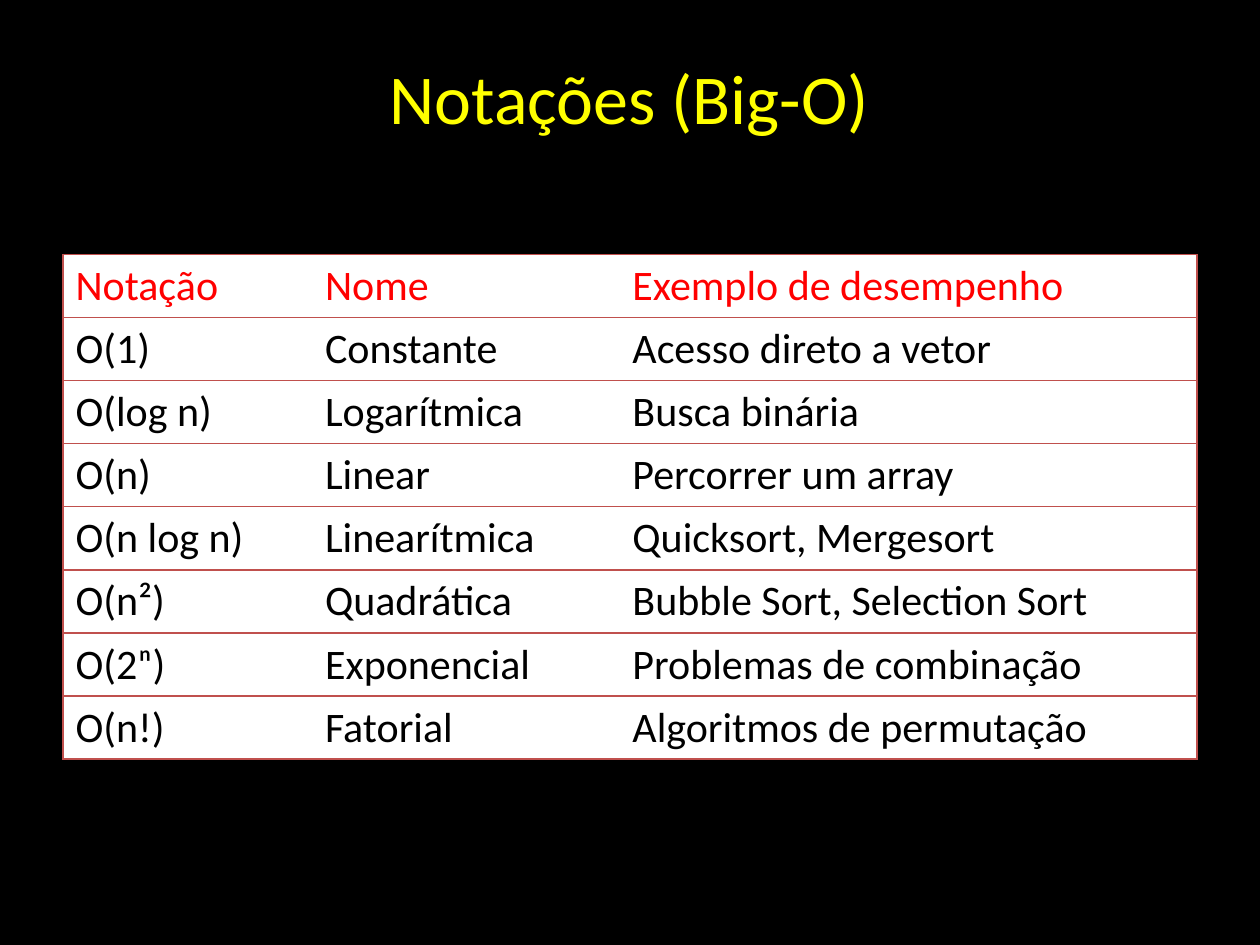
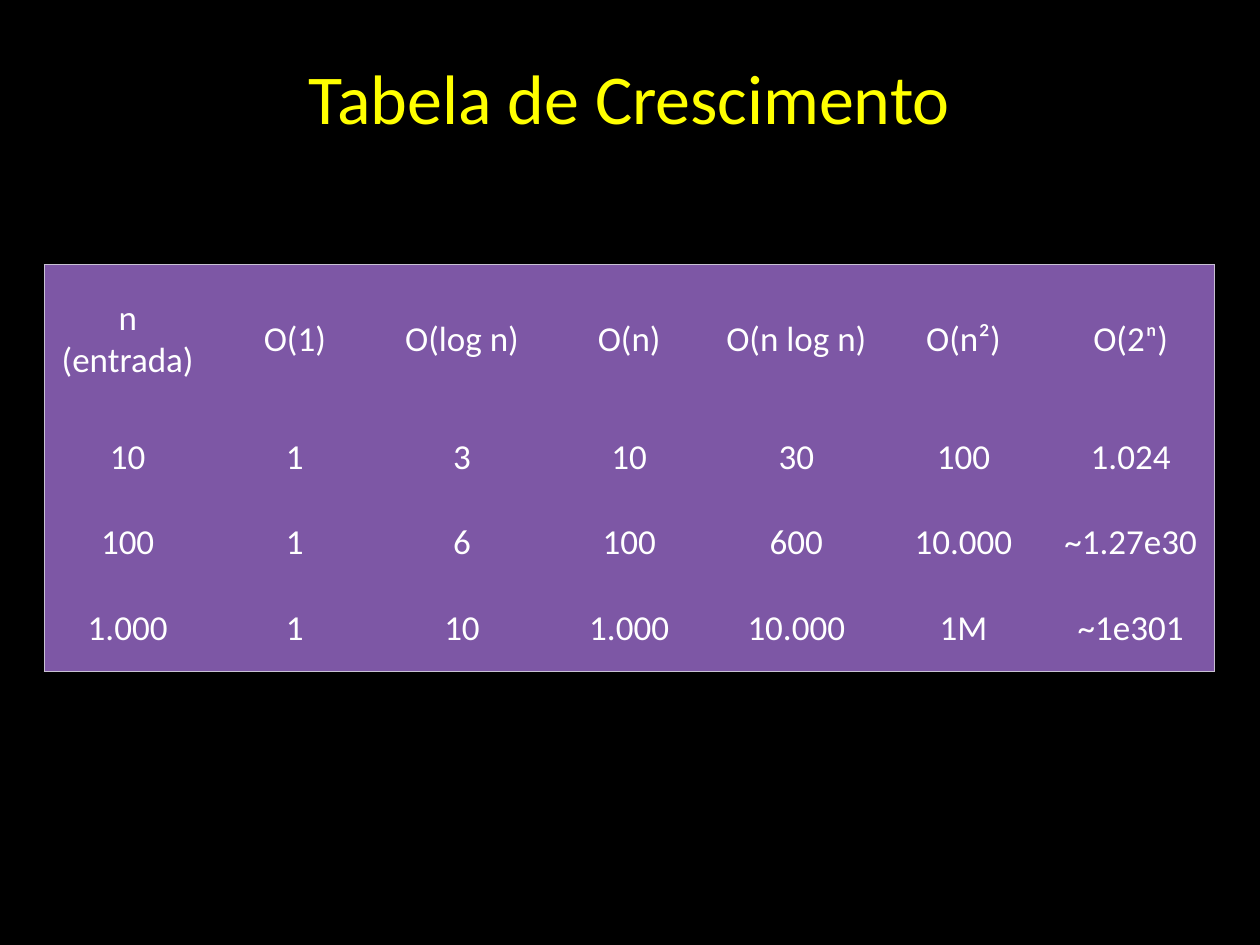
"""Build two slides on Big-O notation: the common classes and their growth."""
from dataclasses import dataclass

from lxml.etree import SubElement
from pptx import Presentation
from pptx.dml.color import RGBColor as Color
from pptx.enum.text import MSO_ANCHOR as Anchor, PP_ALIGN as Align
from pptx.oxml.ns import qn
from pptx.util import Inches, Pt

NOTATIONS = {
    "title": "Notações (Big-O)",
    "rows": [
        ("Notação", "Nome", "Exemplo de desempenho"),
        ("O(1)", "Constante", "Acesso direto a vetor"),
        ("O(log n)", "Logarítmica", "Busca binária"),
        ("O(n)", "Linear", "Percorrer um array"),
        ("O(n log n)", "Linearítmica", "Quicksort, Mergesort"),
        ("O(n²)", "Quadrática", "Bubble Sort, Selection Sort"),
        ("O(2ⁿ)", "Exponencial", "Problemas de combinação"),
        ("O(n!)", "Fatorial", "Algoritmos de permutação"),
    ],
    "origin": (0.5, 2.02),
    "widths": [1.98, 2.44, 4.58],
    "heights": [0.5] * 8,
}
GROWTH = {
    "title": "Tabela de Crescimento",
    "rows": [
        ("n (entrada)", "O(1)", "O(log n)", "O(n)", "O(n log n)", "O(n²)", "O(2ⁿ)"),
        ("10", "1", "3", "10", "30", "100", "1.024"),
        ("100", "1", "6", "100", "600", "10.000", "~1.27e30"),
        ("1.000", "1", "10", "1.000", "10.000", "1M", "~1e301"),
    ],
    "origin": (0.35, 2.1),
    "widths": [9.29 / 7] * 7,
    "heights": [1.19] + [0.68] * 3,
}


@dataclass(frozen=True)
class TableLook:
    fill: str
    header: str
    body: str
    border: str
    border_width: float
    size: int
    align: Align
    row_lines: bool


@dataclass(frozen=True)
class Theme:
    font: str = "Calibri"
    background: str = "000000"
    title: str = "FFFF00"
    title_size: int = 40
    notations: TableLook = TableLook(
        "FFFFFF", "FF0000", "000000", "C0504D", 1, 24, Align.LEFT, True)
    growth: TableLook = TableLook(
        "7D57A5", "FFFFFF", "FFFFFF", "C8C1D3", 0.75, 20, Align.CENTER, False)


THEME = Theme()


def write(frame, text, size, color, align):
    para = frame.paragraphs[0]
    para.text = text
    para.alignment = align
    para.font.name = THEME.font
    para.font.size = Pt(size)
    para.font.bold = False
    para.font.color.rgb = Color.from_string(color)


def set_borders(cell, look, sides):
    properties = cell._tc.get_or_add_tcPr()
    for side, visible in sides.items():
        line = SubElement(properties, qn(f"a:ln{side}"), w=str(Pt(look.border_width)))
        if visible:
            fill = SubElement(line, qn("a:solidFill"))
            SubElement(fill, qn("a:srgbClr"), val=look.border)
        else:
            SubElement(line, qn("a:noFill"))


def add_titled_page(deck, title):
    page = deck.slides.add_slide(deck.slide_layouts[6])
    page.background.fill.solid()
    page.background.fill.fore_color.rgb = Color.from_string(THEME.background)
    box = page.shapes.add_textbox(Inches(0.35), Inches(0.38), Inches(9.29), Inches(0.77))
    box.text_frame.word_wrap = True
    write(box.text_frame, title, THEME.title_size, THEME.title, Align.CENTER)
    return page


def add_styled_table(page, content, look):
    rows, widths, heights = content["rows"], content["widths"], content["heights"]
    left, top = content["origin"]
    table = page.shapes.add_table(
        len(rows), len(widths), Inches(left), Inches(top),
        Inches(sum(widths)), Inches(sum(heights))).table
    table.first_row = table.horz_banding = False
    for column, width in zip(table.columns, widths):
        column.width = Inches(width)
    for row, height in zip(table.rows, heights):
        row.height = Inches(height)
    last_row, last_column = len(rows) - 1, len(widths) - 1
    for r, texts in enumerate(rows):
        for c, text in enumerate(texts):
            cell = table.cell(r, c)
            set_borders(cell, look, {
                "L": c == 0,
                "R": c == last_column,
                "T": look.row_lines or r == 0,
                "B": look.row_lines or r == last_row,
            })
            cell.fill.solid()
            cell.fill.fore_color.rgb = Color.from_string(look.fill)
            cell.vertical_anchor = Anchor.MIDDLE
            color = look.body if r else look.header
            write(cell.text_frame, text, look.size, color, look.align)


def main():
    deck = Presentation()
    deck.slide_width, deck.slide_height = Inches(10), Inches(7.5)
    for content, look in ((NOTATIONS, THEME.notations), (GROWTH, THEME.growth)):
        page = add_titled_page(deck, content["title"])
        add_styled_table(page, content, look)
    deck.save("out.pptx")


if __name__ == "__main__":
    main()
